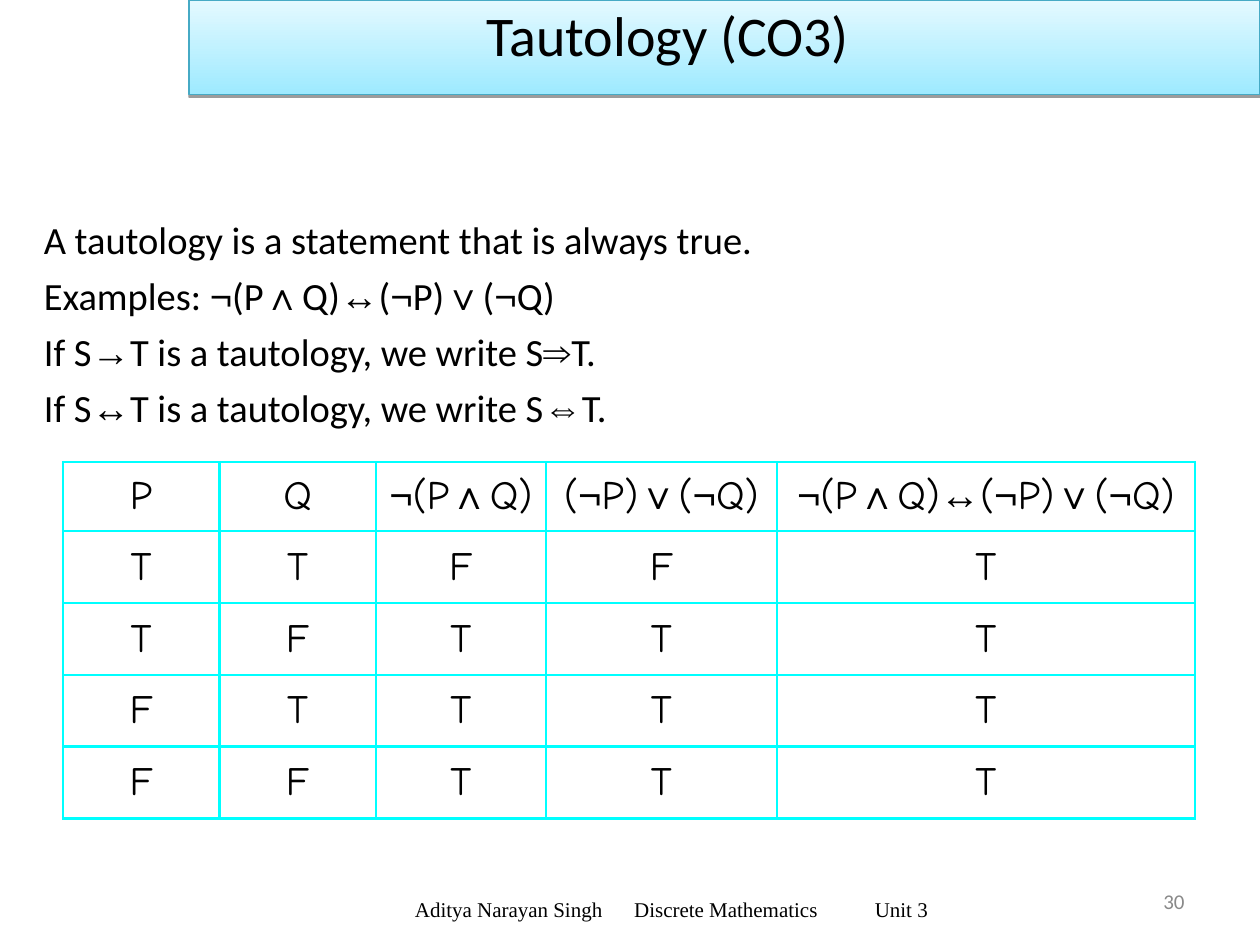
from itertools import groupby

from lxml import etree
from pptx import Presentation
from pptx.dml.color import RGBColor
from pptx.enum.shapes import MSO_SHAPE
from pptx.enum.text import MSO_ANCHOR, PP_ALIGN
from pptx.oxml import parse_xml
from pptx.oxml.ns import qn
from pptx.util import Inches, Pt

RECTANGLE = MSO_SHAPE.RECTANGLE
TOP, MIDDLE = MSO_ANCHOR.TOP, MSO_ANCHOR.MIDDLE
LEFT, CENTER, RIGHT = PP_ALIGN.LEFT, PP_ALIGN.CENTER, PP_ALIGN.RIGHT
NAMESPACE = 'xmlns:a="http://schemas.openxmlformats.org/drawingml/2006/main"'
SYMBOLS = "¬∧∨↔→⇒⇔"
ARROWS = "↔→"

STATEMENTS = [
    "A tautology is a statement that is always true.",
    "Examples: ¬(P∧Q)↔(¬P)∨(¬Q)",
    "If S→T is a tautology, we write S⇒T.",
    "If S↔T is a tautology, we write S⇔T.",
]
TRUTH_TABLE = [
    ["P", "Q", "¬(P∧Q)", "(¬P)∨(¬Q)", "¬(P∧Q)↔(¬P)∨(¬Q)"],
    *(list(values) for values in ("TTFFT", "TFTTT", "FTTTT", "FFTTT")),
]


def color(value):
    return RGBColor.from_string(value)


class SlideBuilder:
    """Draws styled elements on a slide grid of 120 columns by 90 rows."""

    def __init__(self, presentation):
        self.column = presentation.slide_width / 120
        self.row = presentation.slide_height / 90
        self.slide = presentation.slides.add_slide(presentation.slide_layouts[6])
        self.shapes = self.slide.shapes

    def place(self, left, top, width, height):
        return (round(left * self.column), round(top * self.row),
                round(width * self.column), round(height * self.row))

    def add_runs(self, paragraph, text, font, size, ink="000000"):
        for is_symbol, letters in groupby(text, key=lambda letter: letter in SYMBOLS):
            run = paragraph.add_run()
            run.text = "".join(letters)
            style = {"name": "Arial" if is_symbol else font,
                     "size": Pt(size), "bold": run.text in ARROWS}
            for name, value in style.items():
                setattr(run.font, name, value)
            run.font.color.rgb = color(ink)

    def text(self, area, lines, font, size, ink="000000", align=LEFT,
             anchor=MIDDLE, space=0, tabs=(), **margins):
        frame = self.shapes.add_textbox(*self.place(*area)).text_frame
        frame.word_wrap = True
        frame.vertical_anchor = anchor
        for side, inches in margins.items():
            setattr(frame, f"margin_{side}", Inches(inches))
        for index, line in enumerate(lines):
            paragraph = frame.add_paragraph() if index else frame.paragraphs[0]
            paragraph.alignment = align
            paragraph.space_before = Pt(space if index else 0)
            if tabs:
                tab_list = etree.SubElement(paragraph._p.get_or_add_pPr(), qn("a:tabLst"))
                for stop in tabs:
                    etree.SubElement(tab_list, qn("a:tab"), pos=str(Inches(stop)), algn="l")
            self.add_runs(paragraph, line, font, size, ink)

    def banner(self, area, bottom, top, outline):
        shape = self.shapes.add_shape(RECTANGLE, *self.place(*area))
        shape.shadow.inherit = False
        shape.fill.gradient()
        shape.fill.gradient_angle = 90
        for stop, shade in zip(shape.fill.gradient_stops, (bottom, top)):
            stop.color.rgb = color(shade)
        shape.line.color.rgb = color(outline)
        shape.line.width = Pt(0.75)
        effects = shape._element.spPr.find(qn("a:effectLst"))
        effects.append(parse_xml(
            f'<a:outerShdw {NAMESPACE} blurRad="0" dist="{Pt(1.6)}" dir="5400000" '
            'rotWithShape="0"><a:srgbClr val="000000"><a:alpha val="38000"/>'
            '</a:srgbClr></a:outerShdw>'))

    def border(self, cell, ink, width):
        properties = cell._tc.get_or_add_tcPr()
        for side in "LRTB":
            properties.append(parse_xml(
                f'<a:ln{side} {NAMESPACE} w="{Pt(width)}"><a:solidFill>'
                f'<a:srgbClr val="{ink}"/></a:solidFill></a:ln{side}>'))

    def table(self, left, top, widths, heights, rows, font, size, ink):
        area = self.place(left, top, sum(widths), sum(heights))
        table = self.shapes.add_table(len(rows), len(widths), *area).table
        table.first_row = table.horz_banding = False
        for column, width in zip(table.columns, widths):
            column.width = round(width * self.column)
        for row, height, values in zip(table.rows, heights, rows):
            row.height = round(height * self.row)
            for cell, value in zip(row.cells, values):
                cell.vertical_anchor = MIDDLE
                self.border(cell, ink, 1.47)
                cell.fill.background()
                paragraph = cell.text_frame.paragraphs[0]
                paragraph.alignment = CENTER
                self.add_runs(paragraph, value, font, size)


def main():
    presentation = Presentation()
    presentation.slide_width = Inches(10)
    presentation.slide_height = Inches(7.5)
    builder = SlideBuilder(presentation)
    builder.text((86, 83.4, 28, 4.8), ["30"], "Calibri", 12, "898989", RIGHT)
    builder.banner((18, 0, 102, 9), "9EEAFF", "E4F9FF", "46AAC5")
    builder.text((9, 0, 102, 11), ["Tautology (CO3)"], "Calibri", 32,
                 align=CENTER, left=0.7, bottom=0.42)
    builder.text((3, 20, 114, 53), STATEMENTS, "Calibri", 22, anchor=TOP, space=5.5)
    builder.table(6, 44, [14.9, 14.9, 16.2, 22, 39.8], [6.6] + [6.84] * 4,
                  TRUTH_TABLE, "Comic Neue", 23, "00FFFF")
    builder.text((31, 84.2, 66, 4.8), ["Aditya Narayan Singh\tDiscrete Mathematics\tUnit 3"],
                 "Times New Roman", 12, tabs=(1.74, 3.65), left=0.71)
    presentation.save("out.pptx")


if __name__ == "__main__":
    main()
